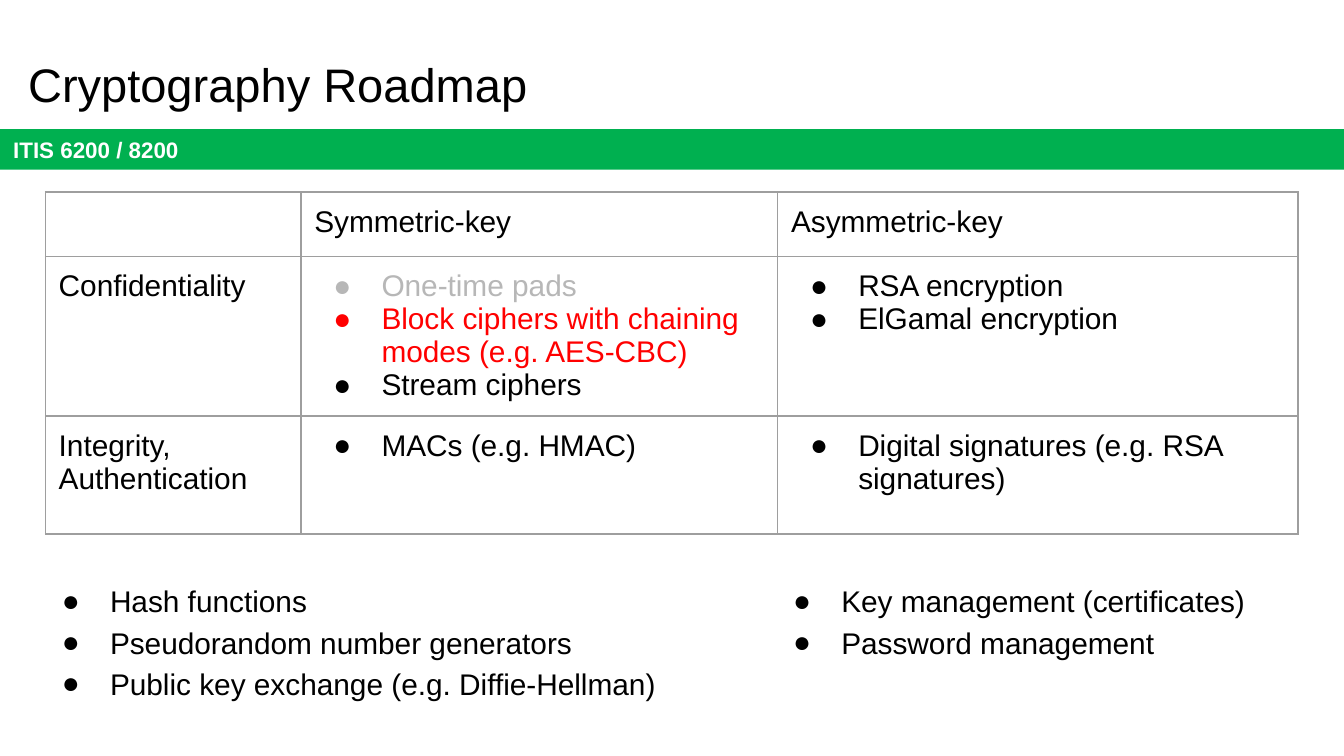
from lxml.etree import SubElement
from pptx import Presentation
from pptx.dml.color import RGBColor
from pptx.enum.shapes import MSO_SHAPE
from pptx.enum.text import MSO_ANCHOR, PP_ALIGN
from pptx.oxml.ns import qn
from pptx.util import Cm, Pt

FONT = "Arial"
COLORS = {"black": "000000", "white": "FFFFFF", "green": "00B050",
          "gray": "B7B7B7", "red": "FF0000", "border": "9E9E9E"}
INSET = Cm(0.25)


def rgb(name):
    """Return the named colour."""
    return RGBColor.from_string(COLORS[name])


def add_bullet(p, color):
    """Give a paragraph a hanging round bullet."""
    pPr = p._p.get_or_add_pPr()
    pPr.set("marL", str(Cm(1.27)))
    pPr.set("indent", str(-Cm(0.91)))
    clr = SubElement(pPr, qn("a:buClr"))
    SubElement(clr, qn("a:srgbClr"), val=COLORS[color])
    SubElement(pPr, qn("a:buFont"), typeface=FONT)
    SubElement(pPr, qn("a:buChar"), char="●")


def write(tf, items, size=16, color="black", bold=False, bullet=False,
          spacing=None, anchor=MSO_ANCHOR.TOP):
    """Write paragraphs, each a text or a (text, colour) pair."""
    tf.word_wrap = True
    tf.vertical_anchor = anchor
    for i, item in enumerate(items):
        text, shade = item if isinstance(item, tuple) else (item, color)
        p = tf.paragraphs[0] if i == 0 else tf.add_paragraph()
        if bullet:
            add_bullet(p, shade)
        p.alignment = PP_ALIGN.LEFT
        p.space_before = Pt(0)
        if spacing:
            p.line_spacing = spacing
        for n, line in enumerate(text.split("\n")):
            if n:
                p.add_line_break()
            r = p.add_run()
            r.text = line
            r.font.name = FONT
            r.font.size = Pt(size)
            r.font.bold = bold
            r.font.color.rgb = rgb(shade)
        SubElement(p._p, qn("a:endParaRPr"), sz=str(int(size * 100)))


def set_insets(obj):
    """Set equal margins on a text frame or cell."""
    obj.margin_left = obj.margin_right = INSET
    obj.margin_top = obj.margin_bottom = INSET


def add_title(s, box, text):
    """Place and format the title placeholder."""
    sp = s.shapes.title
    sp.left, sp.top, sp.width, sp.height = box
    set_insets(sp.text_frame)
    write(sp.text_frame, [text], size=25.2, anchor=MSO_ANCHOR.BOTTOM)


def add_course_bar(s, box, text):
    """Draw the green course band."""
    sp = s.shapes.add_shape(MSO_SHAPE.RECTANGLE, *box)
    sp.shadow.inherit = False
    sp.fill.solid()
    sp.fill.fore_color.rgb = rgb("green")
    sp.line.fill.background()
    set_insets(sp.text_frame)
    write(sp.text_frame, [text], size=12, color="white", bold=True,
          anchor=MSO_ANCHOR.MIDDLE)


def add_borders(cell):
    """Outline all four sides of a cell."""
    tcPr = cell._tc.get_or_add_tcPr()
    for i, side in enumerate(("lnL", "lnR", "lnT", "lnB")):
        ln = tcPr.makeelement(qn(f"a:{side}"), w=str(Pt(0.75)))
        fill = SubElement(ln, qn("a:solidFill"))
        SubElement(fill, qn("a:srgbClr"), val=COLORS["border"])
        tcPr.insert(i, ln)


def add_roadmap_table(s, box, rows, widths, heights):
    """Build the roadmap grid with bulleted inner cells."""
    tbl = s.shapes.add_table(len(rows), len(widths), *box).table
    tbl.first_row = tbl.horz_banding = False
    for col, width in zip(tbl.columns, widths):
        col.width = Cm(width)
    for i, (row, height) in enumerate(zip(rows, heights)):
        tbl.rows[i].height = Cm(height)
        for j, items in enumerate(row):
            cell = tbl.cell(i, j)
            cell.fill.background()
            set_insets(cell)
            add_borders(cell)
            write(cell.text_frame, items, bullet=i > 0 and j > 0)


def add_list(s, box, items):
    """Add a bulleted list box."""
    tf = s.shapes.add_textbox(*box).text_frame
    set_insets(tf)
    write(tf, items, bullet=True, spacing=1.15)


def main():
    """Build and save the slide."""
    prs = Presentation()
    prs.slide_width, prs.slide_height = Cm(25.4), Cm(14.29)
    s = prs.slides.add_slide(prs.slide_layouts[5])
    add_course_bar(s, (0, Cm(2.44), prs.slide_width, Cm(0.77)), "ITIS 6200 / 8200")
    add_title(s, (Cm(0.28), Cm(0.76), Cm(23.67), Cm(1.6)), "Cryptography Roadmap")
    rows = [
        [[""], ["Symmetric-key"], ["Asymmetric-key"]],
        [["Confidentiality"],
         [("One-time pads", "gray"),
          ("Block ciphers with chaining modes (e.g. AES-CBC)", "red"),
          "Stream ciphers"],
         ["RSA encryption", "ElGamal encryption"]],
        [["Integrity,\nAuthentication"], ["MACs (e.g. HMAC)"],
         ["Digital signatures (e.g. RSA signatures)"]],
    ]
    add_roadmap_table(s, (Cm(0.86), Cm(3.63), Cm(23.67), Cm(6.38)), rows,
                      widths=(4.83, 9.01, 9.83), heights=(1.13, 3.02, 2.23))
    add_list(s, (Cm(0.56), Cm(10.67), Cm(12.14), Cm(3.25)),
             ["Hash functions", "Pseudorandom number generators",
              "Public key exchange (e.g. Diffie-Hellman)"])
    add_list(s, (Cm(14.38), Cm(10.67), Cm(9.58), Cm(1.98)),
             ["Key management (certificates)", "Password management"])
    prs.save("out.pptx")


if __name__ == "__main__":
    main()
